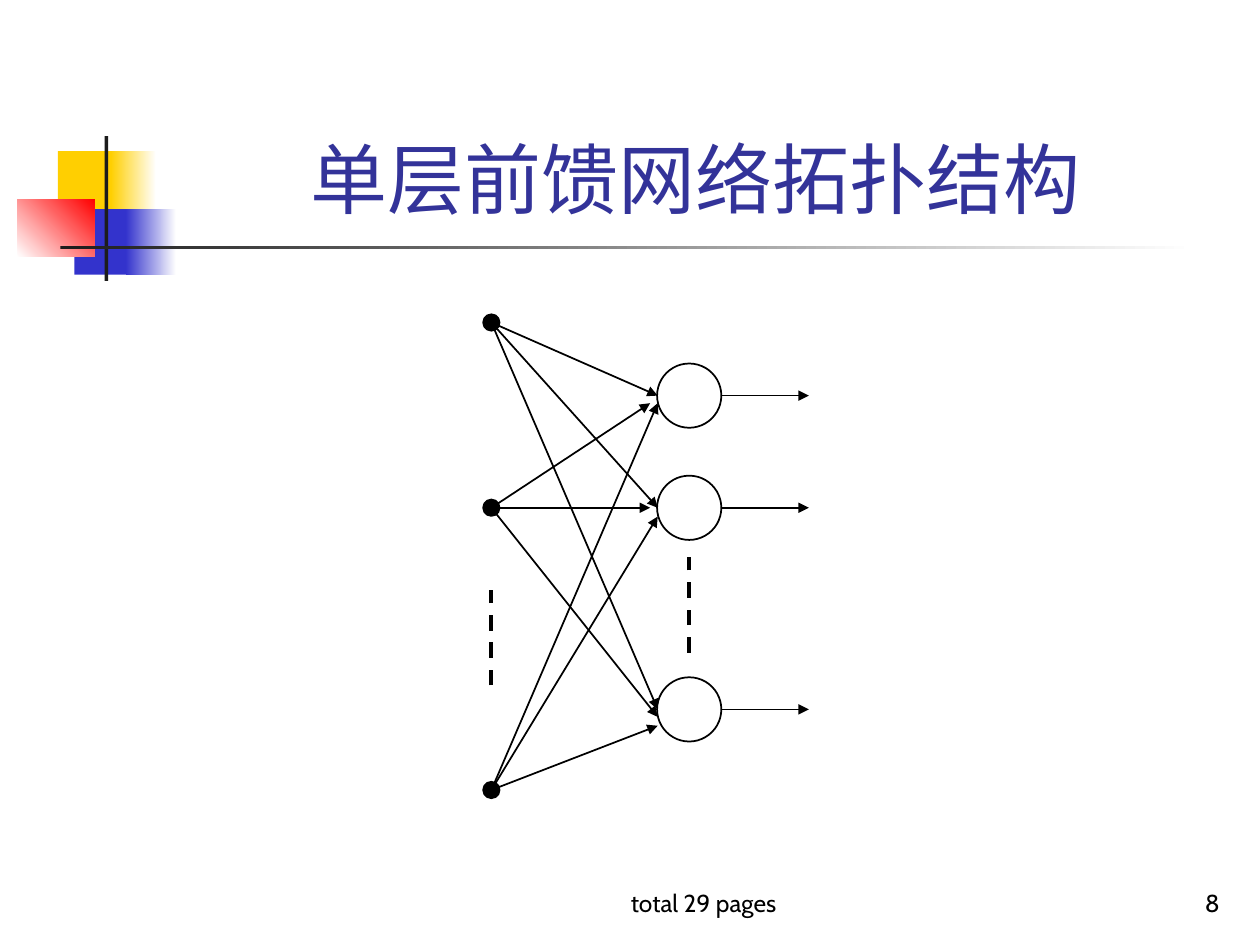
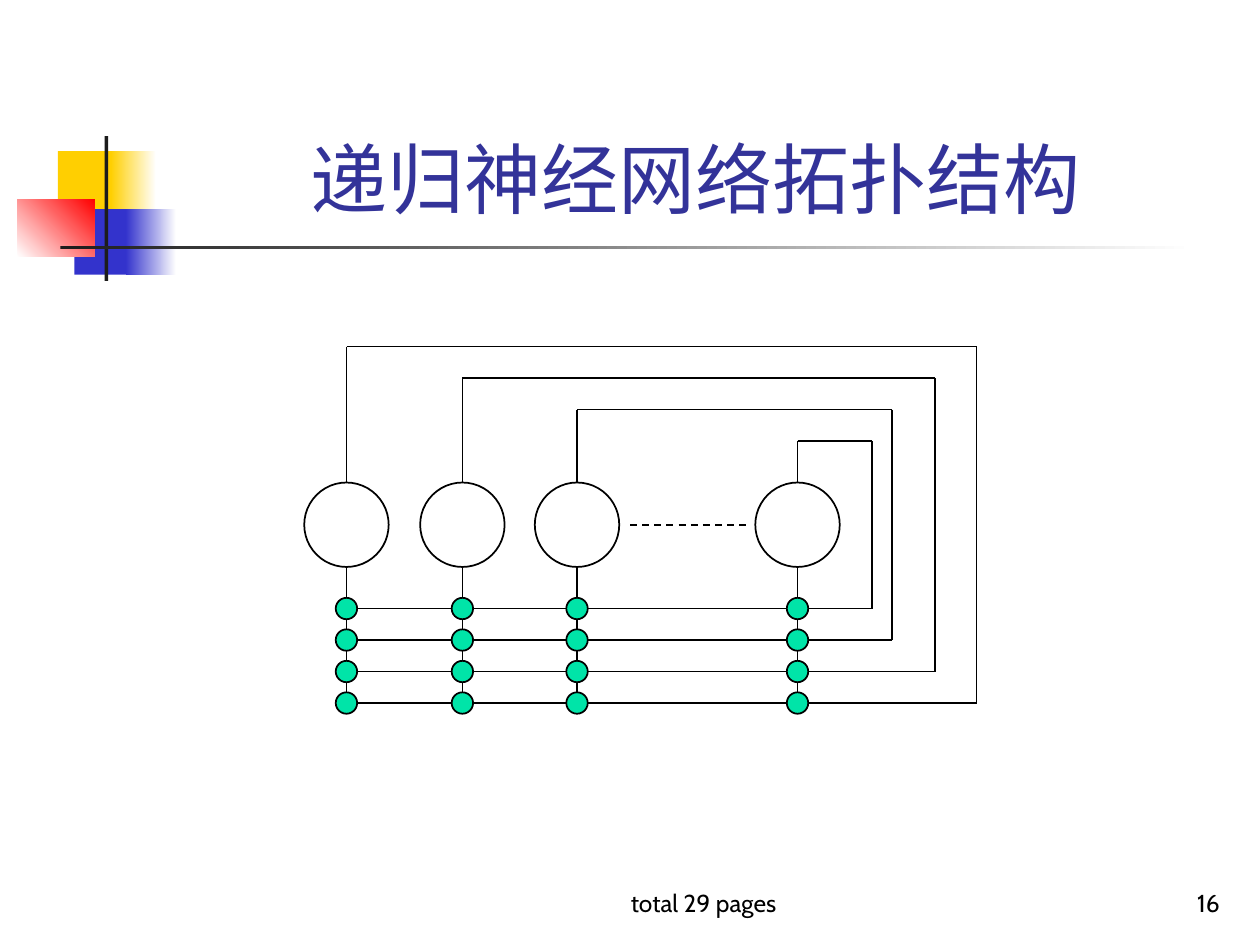
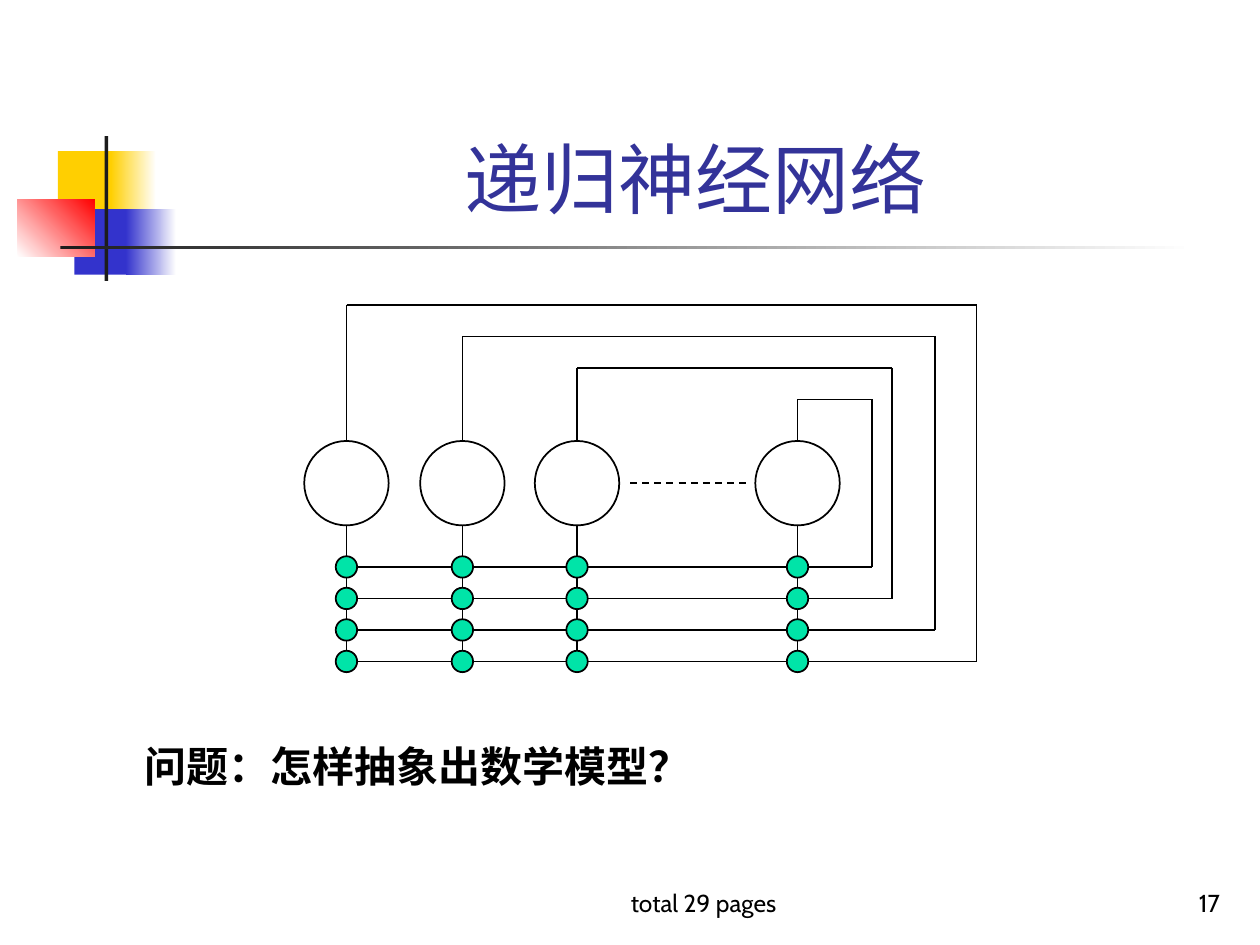
import pptx
import pptx.util
import pptx.dml.color
import pptx.enum.dml
import pptx.enum.shapes
import pptx.enum.text
import pptx.oxml.ns
from lxml import etree
from pptx.util import Inches

COLORS = {
    "background": "FFFFFF",
    "ink": "000000",
    "title": "333399",
    "yellow": "FFCF01",
    "blue": "3333CC",
    "red": "FF0000",
    "bar": "1C1C1C",
    "weight": "00E4A8",
}
FONT = "Cabin"
RECTANGLE = pptx.enum.shapes.MSO_SHAPE.RECTANGLE
OVAL = pptx.enum.shapes.MSO_SHAPE.OVAL
ALIGN = pptx.enum.text.PP_ALIGN
ANCHOR = pptx.enum.text.MSO_ANCHOR
AUTO_SIZE = pptx.enum.text.MSO_AUTO_SIZE

# Corner decoration: left, top, width, height, first colour, last colour, angle
DECORATION = [
    (0.46, 1.2, 0.48, 0.52, "yellow", None, 0),
    (0.88, 1.2, 0.36, 0.52, "yellow", "background", 0),
    (0.59, 1.66, 0.46, 0.52, "blue", None, 0),
    (1, 1.66, 0.4, 0.52, "blue", "background", 0),
    (0.14, 1.58, 0.61, 0.46, "background", "red", 45),
    (0.83, 1.08, 0.03, 1.15, "bar", None, 0),
    (0.48, 1.95, 9, 0.03, "bar", "background", 0),
]

# Single-layer network: arrow targets for each input
INPUT_X = 3.9
NEURON_X = 5.47
NEURON_YS = [3.14, 4.03, 5.63]
INPUT_TARGETS = {
    2.56: [(5.22, 3.14), (5.22, 4.03), (5.22, 5.63)],
    4.03: [(5.16, 3.2), (5.16, 4.03), (5.22, 5.69)],
    6.27: [(5.22, 3.2), (5.22, 4.1), (5.22, 5.76)],
}

# Recurrent network: each neuron column and the right side of its loop
LOOPS = [(2.75, 7.75), (3.67, 7.42), (4.58, 7.08), (6.33, 6.92)]
LOOP_STEP = 0.25
LOOP_HEIGHT = 2.83


def rgb(name):
    return pptx.dml.color.RGBColor.from_string(COLORS[name])


def write_text(shape, text, size=14, color="ink", bold=False, align=ALIGN.LEFT,
               anchor=ANCHOR.TOP, wrap=True, auto_size=AUTO_SIZE.NONE):
    frame = shape.text_frame
    frame.word_wrap = wrap
    frame.auto_size = auto_size
    frame.vertical_anchor = anchor
    paragraph = frame.paragraphs[0]
    paragraph.alignment = align
    run = paragraph.add_run()
    run.text = text
    run.font.name = FONT
    run.font.size = pptx.util.Pt(size)
    run.font.bold = bold
    run.font.color.rgb = rgb(color)


def add_text(slide, left, top, width, height, text, **text_format):
    box = slide.shapes.add_textbox(Inches(left), Inches(top), Inches(width), Inches(height))
    write_text(box, text, **text_format)


def add_rectangle(slide, left, top, width, height, first, last, angle):
    shape = slide.shapes.add_shape(
        RECTANGLE, Inches(left), Inches(top), Inches(width), Inches(height))
    shape.shadow.inherit = False
    shape.line.fill.background()
    if last is None:
        shape.fill.solid()
        shape.fill.fore_color.rgb = rgb(first)
        return
    shape.fill.gradient()
    shape.fill.gradient_angle = angle
    for stop, name in zip(shape.fill.gradient_stops, (first, last)):
        stop.color.rgb = rgb(name)


def add_circle(slide, x, y, diameter, fill="background"):
    shape = slide.shapes.add_shape(
        OVAL, Inches(x - diameter / 2), Inches(y - diameter / 2),
        Inches(diameter), Inches(diameter))
    shape.shadow.inherit = False
    shape.fill.solid()
    shape.fill.fore_color.rgb = rgb(fill)
    shape.line.color.rgb = rgb("ink")
    shape.line.width = pptx.util.Pt(1)


def add_line(slide, start, end, width=1, dashed=False, arrow=False):
    connector = slide.shapes.add_connector(
        pptx.enum.shapes.MSO_CONNECTOR.STRAIGHT, *(Inches(value) for value in (*start, *end)))
    connector.line.color.rgb = rgb("ink")
    connector.line.width = pptx.util.Pt(width)
    if dashed:
        connector.line.dash_style = pptx.enum.dml.MSO_LINE.DASH
    if arrow:
        line = connector.line._get_or_add_ln()
        etree.SubElement(line, pptx.oxml.ns.qn("a:tailEnd"), type="triangle")
    etree.SubElement(connector._element.spPr, pptx.oxml.ns.qn("a:effectLst"))


def add_base_slide(presentation, title, number):
    """Add a slide with the decoration, title and footer that all slides share."""
    slide = presentation.slides.add_slide(presentation.slide_layouts[5])
    for rectangle in DECORATION:
        add_rectangle(slide, *rectangle)
    heading = slide.shapes.title
    heading.left, heading.top = Inches(1.26), Inches(0.23)
    heading.width, heading.height = Inches(8.52), Inches(1.6)
    write_text(heading, title, size=44, color="title", align=ALIGN.CENTER, anchor=ANCHOR.BOTTOM)
    add_text(slide, 4, 6.83, 3.17, 0.5, "total 29 pages", align=ALIGN.CENTER, anchor=ANCHOR.BOTTOM)
    add_text(slide, 7.7, 6.83, 2.08, 0.5, str(number), align=ALIGN.RIGHT, anchor=ANCHOR.BOTTOM)
    return slide


def add_single_layer_network(slide):
    # Neurons and their outputs
    for y in NEURON_YS:
        add_circle(slide, NEURON_X, y, 0.51)
        add_line(slide, (5.72, y), (6.42, y), arrow=True)
    # Inputs and their connections
    for y, targets in INPUT_TARGETS.items():
        add_circle(slide, INPUT_X, y, 0.13, fill="ink")
        for target in targets:
            add_line(slide, (INPUT_X, y), target, arrow=True)
    # Omitted nodes
    for x, bottom in ((NEURON_X, 5.18), (INPUT_X, 5.44)):
        add_line(slide, (x, bottom), (x, bottom - 0.76), width=2.25, dashed=True)


def add_recurrent_network(slide, top):
    base = top + LOOP_HEIGHT
    neuron_y = top + LOOP_HEIGHT / 2
    first_x = LOOPS[0][0]
    # Feedback loops
    for index, (x, right) in enumerate(LOOPS):
        loop_top = top + index * LOOP_STEP
        row = base - index * LOOP_STEP
        add_line(slide, (x, loop_top), (x, base))
        add_line(slide, (x, loop_top), (right, loop_top))
        add_line(slide, (right, loop_top), (right, row))
        add_line(slide, (right, row), (first_x, row))
    # Neurons and weights on top of the lines
    for x, _ in LOOPS:
        add_circle(slide, x, neuron_y, 0.67)
        for index in range(len(LOOPS)):
            add_circle(slide, x, base - index * LOOP_STEP, 0.17, fill="weight")
    add_line(slide, (5, neuron_y), (5.92, neuron_y), dashed=True)


def main():
    presentation = pptx.Presentation()
    presentation.slide_width = Inches(10)
    presentation.slide_height = Inches(7.5)

    slide = add_base_slide(presentation, "单层前馈网络拓扑结构", 8)
    add_single_layer_network(slide)

    slide = add_base_slide(presentation, "递归神经网络拓扑结构", 16)
    add_recurrent_network(slide, 2.75)

    slide = add_base_slide(presentation, "递归神经网络", 17)
    add_recurrent_network(slide, 2.42)
    add_text(slide, 1.05, 5.83, 4.53, 0.5, "问题：怎样抽象出数学模型？", size=24, bold=True,
             wrap=False, auto_size=AUTO_SIZE.SHAPE_TO_FIT_TEXT)

    presentation.save("out.pptx")


if __name__ == "__main__":
    main()
